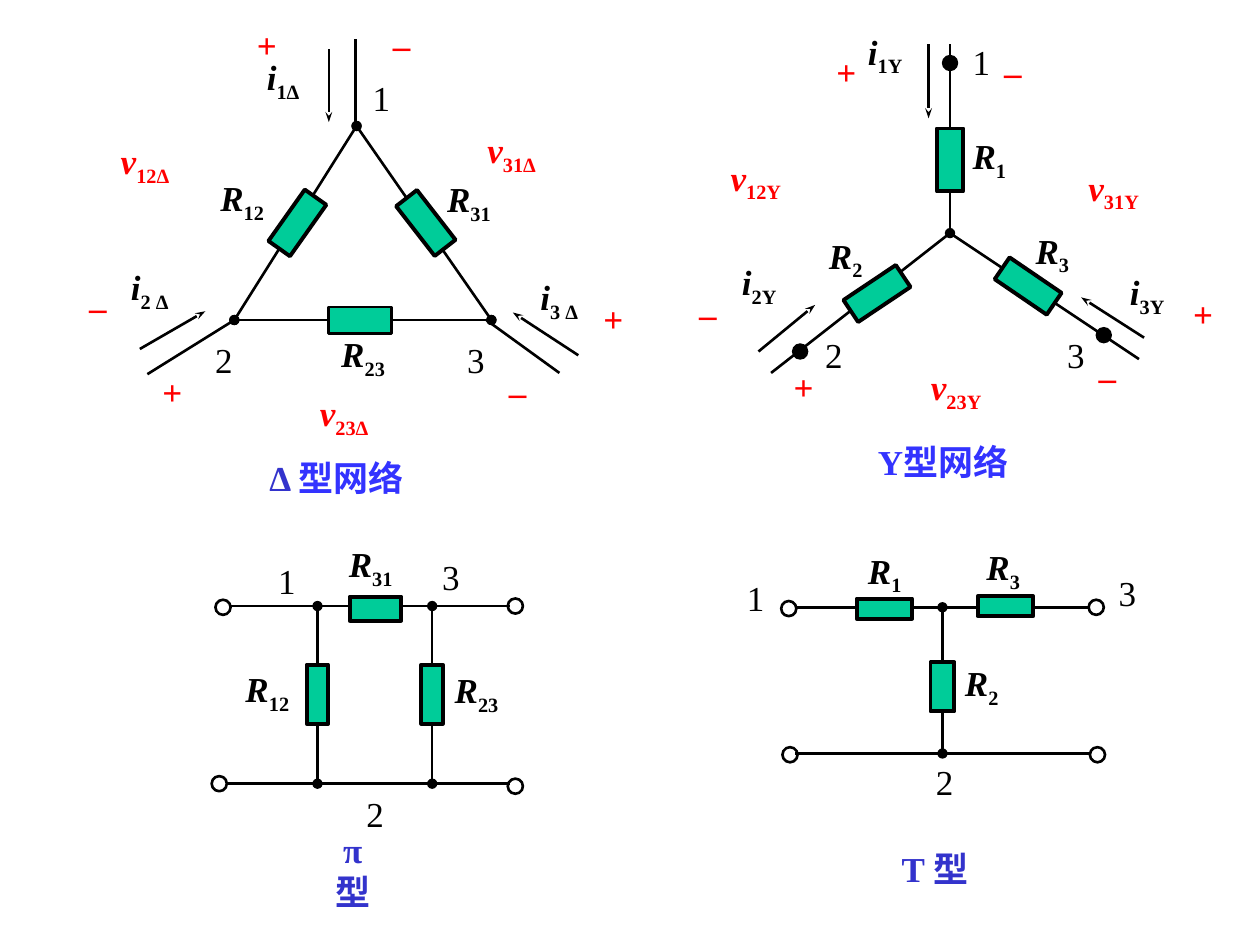
from pptx import Presentation
from pptx import util as u
from pptx.dml.color import RGBColor
from pptx.enum import shapes, text
from pptx.oxml.ns import qn
from lxml import etree

INK = {"black": "000000", "red": "FF0000", "green": "00CC99",
       "blue": "3333FF", "navy": "3333CC"}
FONT = "Times New Roman"
SIZE = 20
HIGH = 0.43   # height of every label
DOT = 0.12    # diameter of a terminal


def tint(name):
    return RGBColor.from_string(INK[name])


class Area:
    """A group of circuit items, placed relative to its top left corner."""

    def __init__(self, slide, left, top):
        self.items = slide.shapes.add_group_shape().shapes
        self.left, self.top = left, top

    def spot(self, x, y):
        return u.Inches(self.left + x), u.Inches(self.top + y)

    def wire(self, start, end, head=None, tail=None):
        line = self.items.add_connector(
            shapes.MSO_CONNECTOR.STRAIGHT, *self.spot(*start), *self.spot(*end))
        line.line.color.rgb = tint("black")
        line.line.width = u.Pt(1.5)
        props = line._element.spPr
        for tag, kind in (("a:headEnd", head), ("a:tailEnd", tail)):
            if kind:
                wide = "sm" if kind == "stealth" else "med"
                etree.SubElement(props.find(qn("a:ln")), qn(tag),
                                 type=kind, w=wide, len="med")
        etree.SubElement(props, qn("a:effectLst"))

    def solid(self, kind, mid, wide, high, fill, weight):
        x, y = mid
        item = self.items.add_shape(
            kind, *self.spot(x - wide / 2, y - high / 2),
            u.Inches(wide), u.Inches(high))
        item.shadow.inherit = False
        if fill:
            item.fill.solid()
            item.fill.fore_color.rgb = tint(fill)
        else:
            item.fill.background()
        item.line.color.rgb = tint("black")
        item.line.width = u.Pt(weight)
        return item

    def resist(self, mid, turn=0, wide=0.21, high=0.5, weight=2.25):
        item = self.solid(shapes.MSO_SHAPE.RECTANGLE, mid, wide, high,
                          "green", weight)
        item.rotation = turn

    def node(self, mid, fill=None, weight=1.5):
        self.solid(shapes.MSO_SHAPE.OVAL, mid, DOT, DOT, fill, weight)

    def label(self, x, y, wide, words, color="black", bold=True):
        """Write (words, colour) runs, or one string, in a label box."""
        box = self.items.add_textbox(*self.spot(x, y), u.Inches(wide),
                                     u.Inches(HIGH))
        frame = box.text_frame
        frame.word_wrap = True
        runs = [(words, color)] if isinstance(words, str) else words
        for piece, shade in runs:
            run = frame.paragraphs[0].add_run()
            run.text = piece
            run.font.name = FONT
            run.font.size = u.Pt(SIZE)
            run.font.bold = bold
            run.font.color.rgb = tint(shade)
        return frame

    def symbol(self, x, y, wide, name, sub, color="black"):
        """Write an italic letter with an upright subscript."""
        frame = self.label(x, y, wide, [(name, color), (sub, color)])
        main, low = frame.paragraphs[0].runs
        main.font.italic = True
        low.font._element.set("baseline", "-25000")

    def digits(self, *spots):
        for num, (x, y) in enumerate(spots, 1):
            self.label(x, y, 0.42, str(num), bold=False)

    def signs(self, sign, *spots):
        for x, y in spots:
            self.label(x, y, 0.42, sign, "red")

    def volts(self, *items):
        for x, y, sub in items:
            self.symbol(x, y, 0.83, "v", sub, "red")


def delta(slide, left, top):
    area = Area(slide, left, top)
    apex, west, east = (2.23, 0.9), (1.26, 2.44), (3.3, 2.44)
    # Triangle, leads and current arrows
    for start, end in ((west, east), (east, apex), (apex, west)):
        area.wire(start, end, "oval", "oval")
    for start, end in (((2.22, 0.9), (2.22, 0.21)), (west, (0.57, 2.87)),
                       ((3.26, 2.44), (3.84, 2.86))):
        area.wire(start, end)
    for start, end in (((2.01, 0.29), (2.01, 0.87)), ((0.51, 2.67), (1.03, 2.37)),
                       ((3.99, 2.72), (3.47, 2.38))):
        area.wire(start, end, tail="stealth")
    # Resistors
    area.resist((2.26, 2.44), 270, weight=1.5)
    area.resist((2.78, 1.67), 322.2)
    area.resist((1.76, 1.67), 35.3)
    # Labels
    for x, y, wide, name, sub in (
            (1.05, 1.25, 0.92, "R", "12"), (2.85, 1.26, 0.8, "R", "31"),
            (2.01, 2.49, 0.87, "R", "23"), (1.42, 0.29, 0.83, "i", "1Δ"),
            (0.34, 1.96, 0.75, "i", "2 Δ"), (3.59, 2.04, 0.72, "i", "3 Δ")):
        area.symbol(x, y, wide, name, sub)
    area.digits((2.26, 0.46), (1.01, 2.54), (3.01, 2.54))
    area.signs("+", (1.34, 0.04), (0.59, 2.79), (4.09, 2.21))
    area.signs("–", (2.42, 0.04), (0.01, 2.12), (3.34, 2.79))
    area.volts((0.26, 0.96, "12Δ"), (1.84, 2.96, "23Δ"), (3.17, 0.87, "31Δ"))
    area.label(1.44, 3.47, 1.67, [("Δ ", "navy"), ("型网络", "blue")])


def star(slide, left, top):
    area = Area(slide, left, top)
    hub = (2.14, 1.75)
    # Arms and current arrows
    area.wire((2.14, 0.25), hub, tail="oval")
    for end in ((0.72, 2.86), (3.64, 2.75)):
        area.wire(hub, end)
    for start, end in (((1.97, 0.25), (1.97, 0.84)), ((0.62, 2.69), (1.07, 2.32)),
                       ((3.68, 2.58), (3.18, 2.26))):
        area.wire(start, end, tail="stealth")
    # Resistors and terminals
    for mid, turn in (((1.56, 2.23), 56.2), ((2.76, 2.17), 304.3),
                      ((2.14, 1.17), 0)):
        area.resist(mid, turn)
    for mid in ((0.95, 2.69), (2.14, 0.4), (3.36, 2.56)):
        area.node(mid, "black", 0.75)
    # Labels
    for x, y, wide, name, sub in (
            (2.22, 0.92, 0.58, "R", "1"), (1.08, 1.71, 0.58, "R", "2"),
            (2.72, 1.67, 0.58, "R", "3"), (1.39, 0.09, 0.75, "i", "1Y"),
            (0.39, 1.92, 0.75, "i", "2Y"), (3.47, 2, 0.67, "i", "3Y")):
        area.symbol(x, y, wide, name, sub)
    area.digits((2.22, 0.17), (1.05, 2.5), (2.97, 2.5))
    area.signs("+", (1.14, 0.25), (0.8, 2.75), (3.97, 2.17))
    area.signs("–", (2.47, 0.25), (0.05, 2.17), (3.22, 2.67))
    area.volts((0.3, 1.09, "12Y"), (1.89, 2.75, "23Y"), (3.14, 1.17, "31Y"))
    area.label(1.47, 3.35, 1.64, "Y型网络", "blue")


def pi(slide, left, top):
    area = Area(slide, left, top)
    high, low = 0.61, 2.02
    # Rails, branches and terminals
    area.wire((0.23, high), (2.45, high))
    area.wire((0.21, low), (2.45, low))
    area.resist((1.38, 0.63), 270, 0.19, 0.41)
    for x in (0.92, 1.83):
        area.wire((x, high), (x, low), "oval", "oval")
        area.resist((x, 1.31), 0, 0.17, 0.47)
    for mid in ((0.17, 0.62), (2.49, 0.61), (0.14, 2.02), (2.49, 2.04)):
        area.node(mid)
    # Labels
    area.digits((0.51, 0.19), (1.21, 2.04), (1.81, 0.16))
    for x, y, sub in ((0.25, 1.05, "12"), (1.07, 0.06, "31"), (1.91, 1.06, "23")):
        area.symbol(x, y, 0.87, "R", sub)
    frame = area.label(0.97, 2.49, 0.7, "π 型", "navy")
    frame.margin_left, frame.margin_right = u.Inches(0.08), u.Inches(0.32)
    frame.vertical_anchor = text.MSO_ANCHOR.MIDDLE
    frame.paragraphs[0].alignment = text.PP_ALIGN.CENTER


def tee(slide, left, top):
    area = Area(slide, left, top)
    high, low, mid = 0.62, 1.78, 1.68
    # Rails, branch and terminals
    for y in (high, low):
        area.wire((0.51, y), (2.85, y))
    area.wire((mid, high), (mid, low), "oval", "oval")
    area.resist((mid, 1.25), 0, 0.19, 0.39)
    area.resist((1.22, 0.63), 270, 0.16, 0.44)
    area.resist((2.18, 0.61), 270, 0.16, 0.44)
    for spot in ((0.46, 0.63), (2.9, 0.62), (0.47, 1.79), (2.91, 1.79)):
        area.node(spot)
    # Labels
    area.digits((0.03, 0.33), (1.53, 1.79), (2.98, 0.29))
    for x, y, sub in ((0.99, 0.11, "1"), (1.76, 1, "2"), (1.93, 0.08, "3")):
        area.symbol(x, y, 0.58, "R", sub)
    frame = area.label(1.2, 2.48, 0.84, "T 型", "navy")
    frame.vertical_anchor = text.MSO_ANCHOR.MIDDLE
    frame.paragraphs[0].alignment = text.PP_ALIGN.CENTER


def main():
    deck = Presentation()
    deck.slide_width, deck.slide_height = u.Inches(10), u.Inches(7.5)
    slide = deck.slides.add_slide(deck.slide_layouts[6])
    delta(slide, 0.6, 0.1)
    star(slide, 5.4, 0.1)
    pi(slide, 1.6, 4.2)
    tee(slide, 5.8, 4.2)
    deck.save("out.pptx")


if __name__ == "__main__":
    main()
